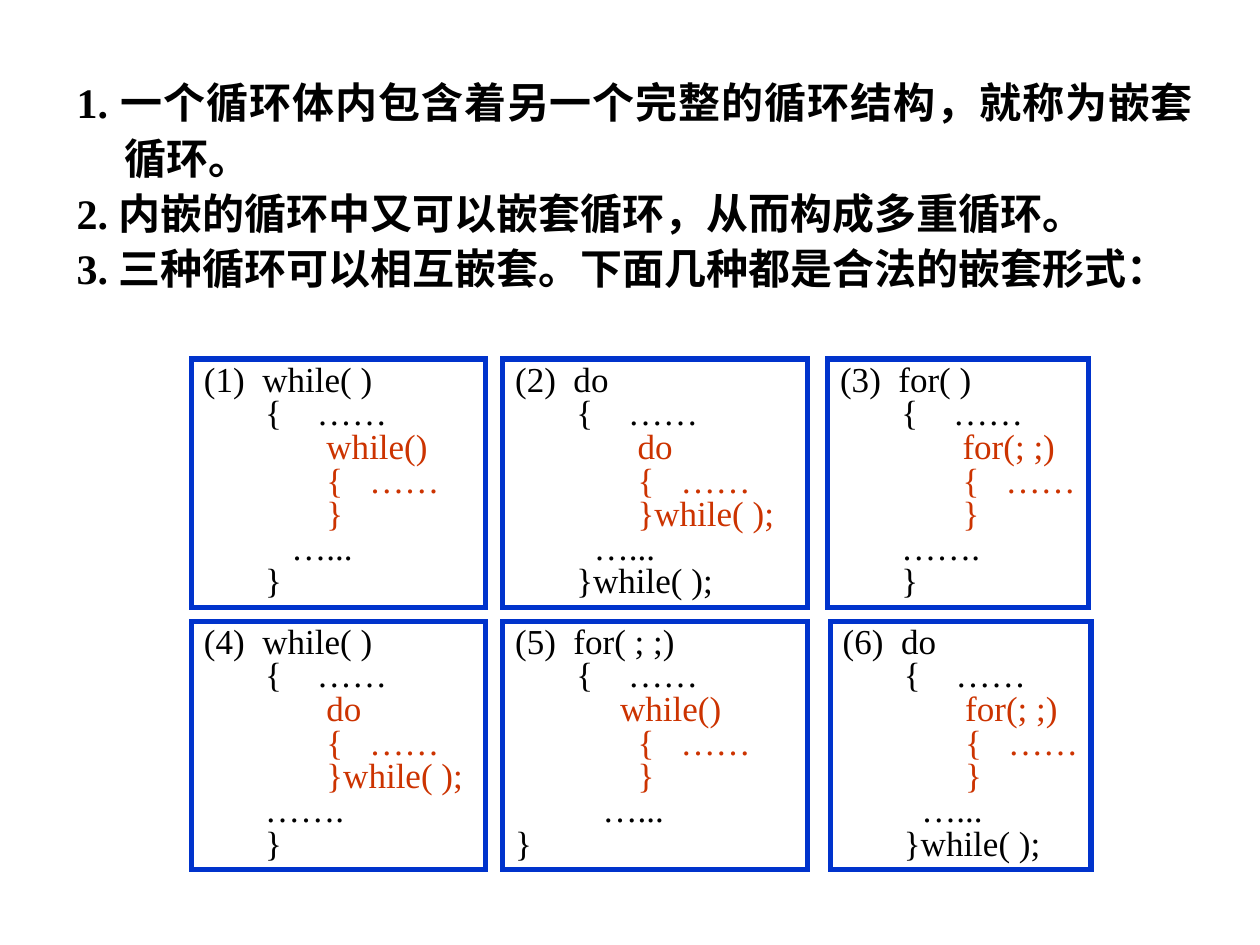
from dataclasses import dataclass
from lxml import etree
from pptx import Presentation
from pptx.dml.color import RGBColor
from pptx.enum.shapes import MSO_SHAPE
from pptx.enum.text import MSO_ANCHOR, PP_ALIGN
from pptx.oxml.ns import qn
from pptx.util import Pt

RECT = MSO_SHAPE.RECTANGLE
TOP = MSO_ANCHOR.TOP
LEFT, JUSTIFY = PP_ALIGN.LEFT, PP_ALIGN.JUSTIFY


@dataclass(frozen=True)
class Theme:
    font: str = "Times New Roman"
    ink: RGBColor = RGBColor(0, 0, 0)
    inner: RGBColor = RGBColor(0xCC, 0x33, 0x00)
    border: RGBColor = RGBColor(0x00, 0x33, 0xCC)
    paper: RGBColor = RGBColor(0xFF, 0xFF, 0xFF)
    point_size: int = 24
    code_size: int = 20


THEME = Theme()

POINTS = [
    "1. 一个循环体内包含着另一个完整的循环结构，就称为嵌套循环。",
    "2. 内嵌的循环中又可以嵌套循环，从而构成多重循环。",
    "3. 三种循环可以相互嵌套。下面几种都是合法的嵌套形式：",
]
HANG = Pt(27.5)

OUTER_OPEN = "       {    ……"
INNER_OPEN = "              {   ……"
INNER_LINES = range(2, 5)

EXAMPLES = [
    ("(1)  while( )", "              while()", "              }",
     "          …...", "       }"),
    ("(2)  do", "              do", "              }while( );",
     "         …...", "       }while( );"),
    ("(3)  for( )", "              for(; ;)", "              }",
     "       …….", "       }"),
    ("(4)  while( )", "              do", "              }while( );",
     "       …….", "       }"),
    ("(5)  for( ; ;)", "            while()", "              }",
     "          …...", "}"),
    ("(6)  do", "              for(; ;)", "              }",
     "         …...", "       }while( );"),
]

ROWS = [
    (205.2, [(109.5, 167.8), (287.3, 174.2), (473, 149)]),
    (355, [(109.5, 167.8), (287.3, 174.2), (474.5, 149)]),
]
BOX_HEIGHT = 141.8


def apply(target, values):
    for name, value in values.items():
        setattr(target, name, value)


def write_lines(tf, lines, para_format, size, bold=False):
    for i, (text, color) in enumerate(lines):
        p = tf.paragraphs[0] if i == 0 else tf.add_paragraph()
        apply(p, para_format)
        r = p.add_run()
        r.text = text
        apply(r.font, {"name": THEME.font, "size": Pt(size), "bold": bold})
        r.font.color.rgb = color


def add_points(s, box):
    tf = s.shapes.add_textbox(*map(Pt, box)).text_frame
    tf.word_wrap = True
    lines = [(text, THEME.ink) for text in POINTS]
    para_format = {"alignment": JUSTIFY, "line_spacing": 1.1}
    write_lines(tf, lines, para_format, THEME.point_size, True)
    for p in tf.paragraphs:
        pPr = p._p.get_or_add_pPr()
        pPr.set("marL", str(HANG))
        pPr.set("indent", str(-HANG))


def add_example(s, box, example):
    sp = s.shapes.add_shape(RECT, *map(Pt, box))
    sp.shadow.inherit = False
    sp.fill.solid()
    sp.fill.fore_color.rgb = THEME.paper
    sp.line.color.rgb = THEME.border
    sp.line.width = Pt(3)
    etree.SubElement(sp.line._get_or_add_ln(), qn("a:miter"), lim="800000")
    tf = sp.text_frame
    apply(tf, {"word_wrap": True, "vertical_anchor": TOP, "margin_right": 0})
    head, inner_head, inner_close, dots, close = example
    code = [head, OUTER_OPEN, inner_head, INNER_OPEN, inner_close, dots, close]
    lines = [(text, THEME.inner if i in INNER_LINES else THEME.ink)
             for i, text in enumerate(code)]
    para_format = {"alignment": LEFT, "line_spacing": 0.8}
    write_lines(tf, lines, para_format, THEME.code_size)


def add_examples(s):
    boxes = [(left, top, width, BOX_HEIGHT)
             for top, columns in ROWS for left, width in columns]
    for box, example in zip(boxes, EXAMPLES):
        add_example(s, box, example)


def main():
    prs = Presentation()
    prs.slide_width, prs.slide_height = Pt(720), Pt(540)
    s = prs.slides.add_slide(prs.slide_layouts[6])
    add_points(s, (36.7, 37.4, 652.3, 136))
    add_examples(s)
    prs.save("out.pptx")


if __name__ == "__main__":
    main()
